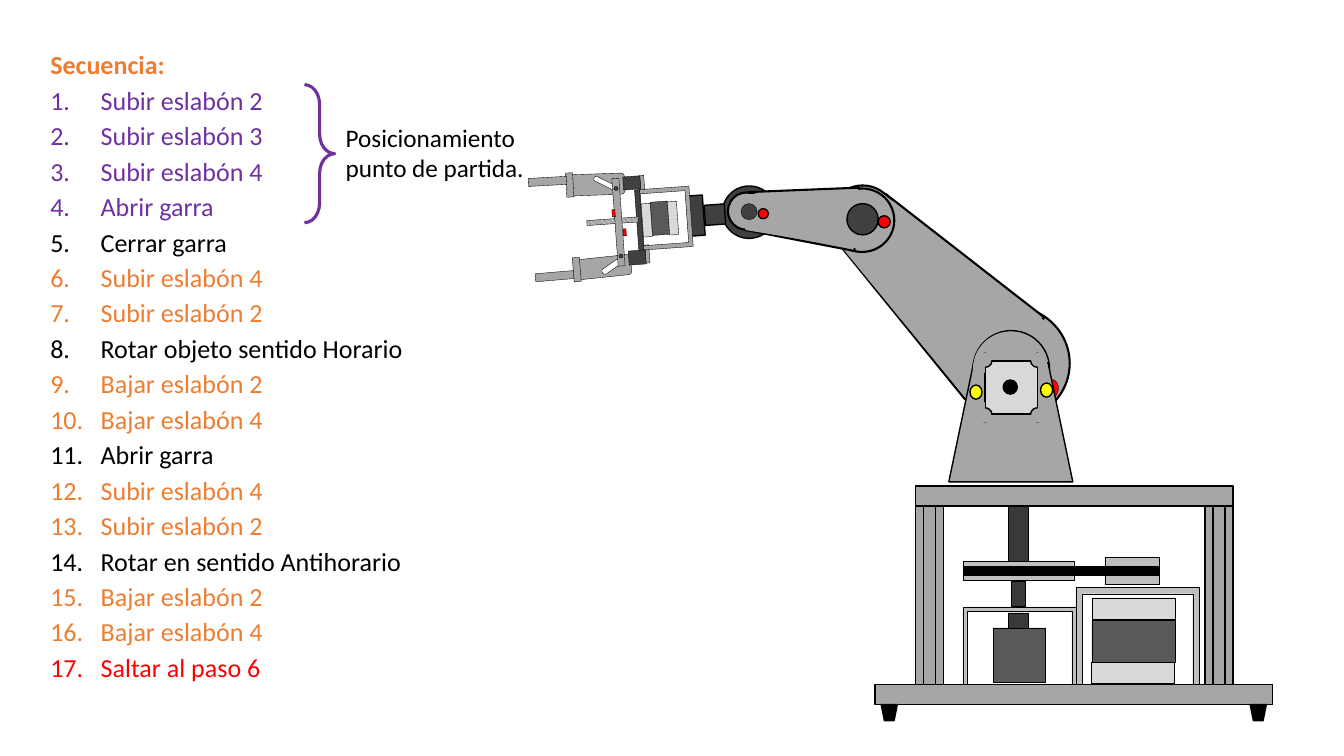
from dataclasses import dataclass
from itertools import product
from typing import Any

from lxml.etree import SubElement
from pptx import Presentation
from pptx.dml.color import RGBColor
from pptx.enum.dml import MSO_PATTERN
from pptx.enum.shapes import MSO_SHAPE as Kind
from pptx.oxml.ns import qn
from pptx.util import Inches, Pt

STEEL, DARK, IRON, PALE, SILVER = "A6A6A6", "404040", "595959", "D9D9D9", "BFBFBF"
BLACK, WHITE, RED, YELLOW, SHAFT = "000000", "FFFFFF", "FF0000", "FFFF00", "3B3838"
ORANGE, PURPLE = "ED7D31", "7030A0"
RECT, ROUND, OVAL, FRAME = Kind.RECTANGLE, Kind.ROUNDED_RECTANGLE, Kind.OVAL, Kind.FRAME
TRAPEZOID = Kind.FLOWCHART_MANUAL_OPERATION

STEPS = [
    ("Subir eslabón 2", PURPLE), ("Subir eslabón 3", PURPLE),
    ("Subir eslabón 4", PURPLE), ("Abrir garra", PURPLE),
    ("Cerrar garra", BLACK), ("Subir eslabón 4", ORANGE),
    ("Subir eslabón 2", ORANGE), ("Rotar objeto sentido Horario", BLACK),
    ("Bajar eslabón 2", ORANGE), ("Bajar eslabón 4", ORANGE),
    ("Abrir garra", BLACK), ("Subir eslabón 4", ORANGE),
    ("Subir eslabón 2", ORANGE), ("Rotar en sentido Antihorario", BLACK),
    ("Bajar eslabón 2", ORANGE), ("Bajar eslabón 4", ORANGE),
    ("Saltar al paso 6", RED),
]


def color(code):
    """Turn a hex string into a colour."""
    return RGBColor.from_string(code)


@dataclass
class Assembly:
    """A group of parts placed from one corner."""
    shapes: Any
    left: float
    top: float

    def add(self, kind, box, fill, width=1, turn=0, adjust=None, line=BLACK):
        """Add one part; box is left, top, width, height from the corner."""
        x, y, wide, high = box
        part = self.shapes.add_shape(kind, Inches(self.left + x), Inches(self.top + y),
                                     Inches(wide), Inches(high))
        part.shadow.inherit = False
        part.rotation = turn
        if adjust is not None:
            part.adjustments[0] = adjust
        if fill:
            part.fill.solid()
            part.fill.fore_color.rgb = color(fill)
        else:
            part.fill.background()
        if width:
            part.line.color.rgb = color(line)
            part.line.width = Pt(width)
        else:
            part.line.fill.background()
        return part


def assembly(page, left, top):
    """Start a grouped assembly at a corner."""
    return Assembly(page.shapes.add_group_shape().shapes, left, top)


def draw_gripper(page, left, top):
    """Draw the claw with its fingers, motor and wrist."""
    claw = assembly(page, left, top)
    tilt = 85.9
    fingers = [
        ((0.69, 0.88, 0.2, 0.54), 84, (0.85, 1.01, 0.06, 0.25), 55.1,
         (0.4, 1.14, 0.24, 0.07), (0.26, 1.05, 0.08, 0.38), 85.2),
        ((0.62, 0.06, 0.21, 0.54), 88, (0.77, 0.2, 0.05, 0.23), 116.4,
         (0.33, 0.3, 0.24, 0.07), (0.19, 0.11, 0.08, 0.38), 86.8),
    ]
    for body, body_turn, slot, slot_turn, plate, tip, tip_turn in fingers:
        claw.add(ROUND, body, STEEL, 0.25, body_turn)
        claw.add(ROUND, slot, WHITE, 0.25, slot_turn, 0.41)
        for box in (plate, tip):
            claw.add(RECT, box, STEEL, 0.25, tip_turn)
    claw.add(OVAL, (1.97, 0.34, 0.52, 0.53), DARK, 1, tilt)
    for box in ((1.79, 0.53, 0.2, 0.2), (1.5, 0.56, 0.4, 0.16)):
        claw.add(RECT, box, DARK, 1, tilt)
    for box in ((1.08, 0.31, 0.18, 0.04), (1.13, 1, 0.18, 0.04)):
        claw.add(RECT, box, STEEL, 0.25, tilt)
    claw.add(FRAME, (1.09, 0.4, 0.6, 0.53), STEEL, 0.25, tilt, 0.08)
    for box, fill in [
        ((0.84, 0.66, 0.6, 0.05), DARK), ((1, 0.23, 0.13, 0.17), DARK),
        ((1.05, 0.97, 0.14, 0.17), DARK), ((1.18, 0.58, 0.33, 0.17), IRON),
        ((1.31, 0.62, 0.33, 0.09), PALE), ((1.05, 0.64, 0.33, 0.09), PALE),
    ]:
        claw.add(RECT, box, fill, 0.25, tilt)
    screw = claw.add(RECT, (0.85, 0.44, 0.05, 0.51), WHITE, 0.25, tilt)
    screw.fill.patterned()
    screw.fill.pattern = MSO_PATTERN.WIDE_DOWNWARD_DIAGONAL
    screw.fill.fore_color.rgb = color(WHITE)
    screw.fill.back_color.rgb = color(STEEL)
    claw.add(RECT, (0.96, 0.79, 0.07, 0.03), RED, 0.25, tilt)
    claw.add(RECT, (0.9, 0.27, 0.07, 0.87), STEEL, 0.25, 355.9)
    for box in ((0.89, 0.35, 0.04, 0.04), (0.94, 1.02, 0.04, 0.04)):
        claw.add(OVAL, box, DARK, 0.25, tilt)
    claw.add(RECT, (0.85, 0.6, 0.07, 0.03), RED, 0.25, tilt)


def draw_link(link, large, outer, outer_turn, small, inner, inner_turn):
    """Draw two round ends joined by a tapered bar."""
    link.add(OVAL, large, STEEL, 1.5)
    link.add(TRAPEZOID, outer, STEEL, 1.5, outer_turn)
    link.add(OVAL, small, STEEL, 1.5)
    link.add(TRAPEZOID, inner, STEEL, 1.5, inner_turn, line=STEEL)


def draw_upper_arm(page, left, top):
    """Draw the link from shoulder to elbow."""
    arm = assembly(page, left, top)
    draw_link(arm, (1.25, 1.24, 1.16, 1.13), (0.49, 0.07, 1.13, 1.98), 134.4,
              (0.02, 0.04, 0.67, 0.67), (0.52, 0.08, 1.07, 1.98), 134.4)
    arm.add(OVAL, (2.07, 1.97, 0.24, 0.2), RED, 0.25, 309.9)


def draw_forearm(page, left, top):
    """Draw the link from elbow to wrist with its joints."""
    arm = assembly(page, left, top)
    draw_link(arm, (1.03, 0.27, 0.64, 0.63), (0.44, -0.01, 0.63, 1.09), 94.3,
              (0.02, 0.31, 0.37, 0.37), (0.48, -0.01, 0.56, 1.1), 93.6)
    for x, y, size, fill, width in [
        (1.2, 0.42, 0.31, DARK, 1), (0.15, 0.42, 0.16, DARK, 0.25),
        (1.51, 0.54, 0.12, RED, 1), (0.32, 0.47, 0.1, RED, 1),
    ]:
        arm.add(OVAL, (x, y, size, size), fill, width)


def draw_shoulder(page, left, top):
    """Draw the support with its notched motor plate."""
    support = assembly(page, left, top)
    support.add(ROUND, (0.25, 0, 0.76, 0.82), STEEL, 1, 0, 0.5)
    support.add(TRAPEZOID, (0.01, 0.32, 1.23, 1.18), STEEL, 1, 180)
    support.add(ROUND, (0.25, 0.01, 0.74, 0.79), STEEL, 0, 0, 0.5)
    support.add(RECT, (0.37, 0.3, 0.52, 0.53), PALE)
    support.add(OVAL, (0.55, 0.49, 0.14, 0.14), BLACK)
    for side, end in product((-1, 1), repeat=2):
        for kind, x, y, wide, high, line in [
            (OVAL, 0.26, 0.27, 0.14, 0.14, BLACK),
            (RECT, 0.22, 0.31, 0.16, 0.06, STEEL),
            (RECT, 0.3, 0.24, 0.06, 0.18, STEEL),
        ]:
            box = (0.63 + side * x - wide / 2, 0.565 + end * y - high / 2, wide, high)
            support.add(kind, box, STEEL, line=line)
    for x, y in ((0.22, 0.54), (0.92, 0.52)):
        support.add(OVAL, (x, y, 0.12, 0.14), YELLOW)


def draw_base(page, left, top):
    """Draw the table with its motors, belt and feet."""
    base = assembly(page, left, top)
    for box in ((0.87, 1.2, 1.13, 0.86), (1.99, 1.01, 1.22, 1.1)):
        base.add(FRAME, box, SILVER, 0.25, 0, 0.055)
    for box in ((0.4, 0, 3.15, 0.2), (0, 1.97, 3.94, 0.2)):
        base.add(RECT, box, STEEL)
    for middle, wide in product((0.54, 3.41), (0.28, 0.12)):
        base.add(RECT, (middle - wide / 2, 0.2, wide, 1.77), STEEL)
    for x in (0.06, 3.72):
        base.add(TRAPEZOID, (x, 2.17, 0.16, 0.16), BLACK)
    for box, fill in [
        ((2.15, 1.33, 0.83, 0.42), IRON), ((2.15, 1.11, 0.83, 0.21), PALE),
        ((2.14, 1.75, 0.83, 0.21), PALE), ((1.17, 1.41, 0.52, 0.54), IRON),
        ((0.87, 0.75, 1.1, 0.19), SILVER), ((2.28, 0.71, 0.54, 0.27), SILVER),
        ((0.88, 0.8, 1.93, 0.09), BLACK), ((1.32, 0.2, 0.2, 0.55), SHAFT),
        ((1.32, 1.26, 0.2, 0.15), SHAFT), ((1.35, 0.95, 0.14, 0.24), SHAFT),
    ]:
        base.add(RECT, box, fill, 0.25)


def add_text(page, box, lines, size):
    """Add a wrapped text box from pairs of text and colour."""
    frame = page.shapes.add_textbox(*map(Inches, box)).text_frame
    frame.word_wrap = True
    for index, (text, code) in enumerate(lines):
        para = frame.add_paragraph() if index else frame.paragraphs[0]
        para.text = text
        para.font.name, para.font.size = "Calibri", Pt(size)
        para.font.color.rgb = color(code)
    return frame


def write_sequence(page, left, top):
    """Write the numbered steps, the brace and its label."""
    lines = [("Secuencia:", ORANGE)] + STEPS
    frame = add_text(page, (left, top, 3.89, 6.89), lines, 18.6)
    title, *steps = frame.paragraphs
    title.font.bold = True
    title.line_spacing = 0.7
    for para in steps:
        props = para.font._element.getparent()
        props.set("marL", str(Inches(0.5)))
        props.set("indent", str(-Inches(0.5)))
        number = SubElement(props, qn("a:buAutoNum"), type="arabicPeriod")
        props.find(qn("a:defRPr")).addprevious(number)
        para.line_spacing = 0.7
        para.space_before = Pt(9.7)
    notes = Assembly(page.shapes, left, top)
    notes.add(Kind.RIGHT_BRACE, (2.62, 0.32, 0.3, 1.37), None, 2.25, 0, 0.65, PURPLE)
    label = [("Posicionamiento punto de partida.", BLACK)]
    add_text(page, (left + 2.93, top + 0.64, 2.1, 0.71), label, 18)


def main():
    """Build the slide and save it."""
    deck = Presentation()
    deck.slide_width, deck.slide_height = Inches(13.33), Inches(7.5)
    page = deck.slides.add_slide(deck.slide_layouts[6])
    draw_gripper(page, 5.2, 1.5)
    draw_upper_arm(page, 8.2, 1.8)
    draw_shoulder(page, 9.4, 3.28)
    draw_base(page, 8.68, 4.82)
    draw_forearm(page, 7.2, 1.6)
    write_sequence(page, 0.4, 0.52)
    deck.save("out.pptx")


if __name__ == "__main__":
    main()
